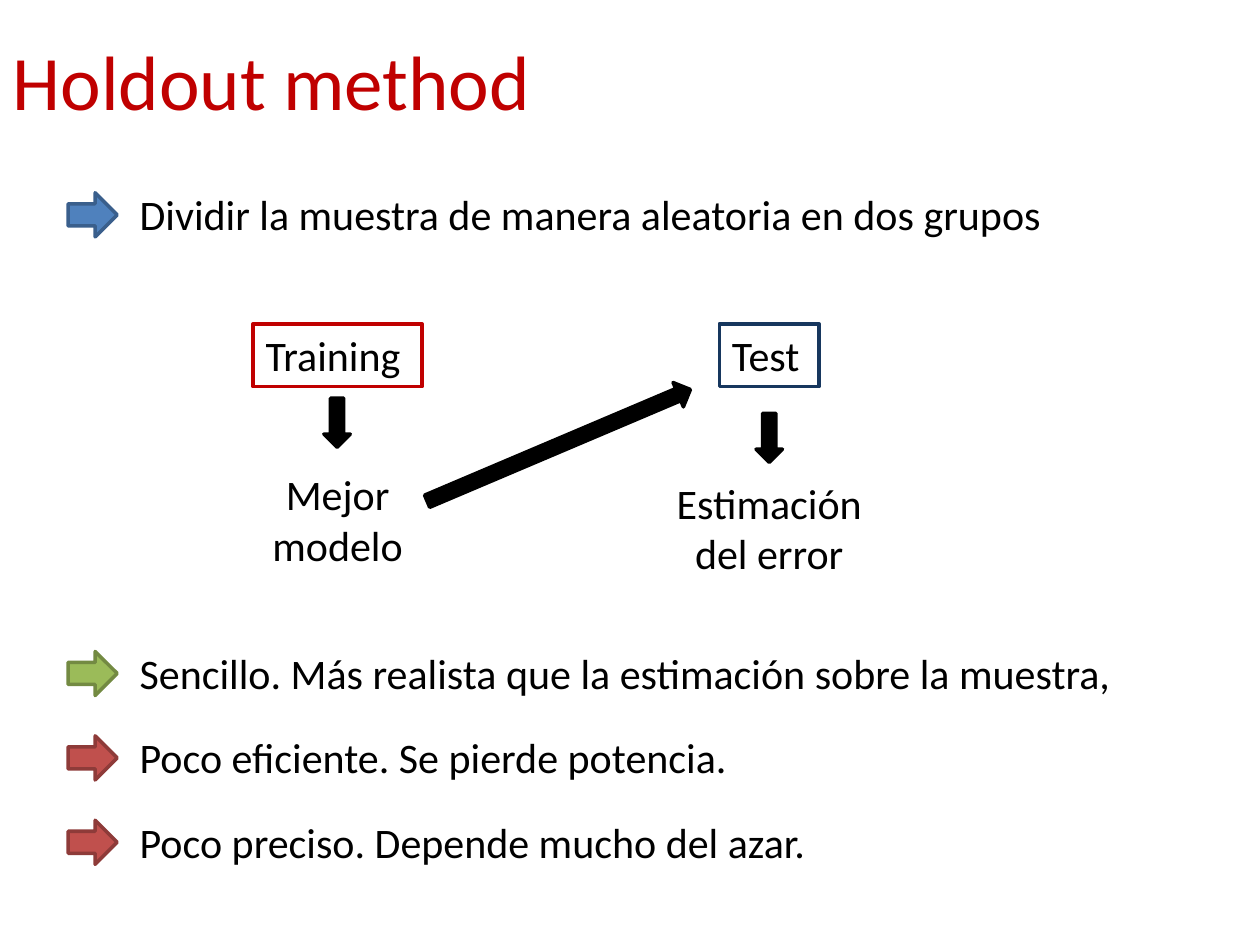
"""Build the slide that explains the holdout method."""
from pptx import Presentation
from pptx.dml.color import RGBColor
from pptx.enum import shapes, text
from pptx.util import Inches, Pt

FONT = "Calibri"
BLACK = RGBColor(0x00, 0x00, 0x00)
RED = RGBColor(0xC0, 0x00, 0x00)
NAVY = RGBColor(0x17, 0x37, 0x5E)
BLUE = (RGBColor(0x4F, 0x81, 0xBD), RGBColor(0x3A, 0x5F, 0x8C))
GREEN = (RGBColor(0x9B, 0xBB, 0x59), RGBColor(0x73, 0x8A, 0x42))
BRICK = (RGBColor(0xC0, 0x50, 0x4D), RGBColor(0x8E, 0x3B, 0x39))
SOLID_BLACK = (BLACK, BLACK)


def write(shape, words, size=24, color=BLACK, align=text.PP_ALIGN.LEFT, anchor=text.MSO_ANCHOR.TOP):
    """Write one paragraph into a shape."""
    frame = shape.text_frame
    frame.word_wrap = True
    frame.vertical_anchor = anchor
    para = frame.paragraphs[0]
    para.alignment = align
    span = para.add_run()
    span.text = words
    span.font.name = FONT
    span.font.size = Pt(size)
    span.font.color.rgb = color


def add_title(page, words):
    """Fill the title placeholder across the top of the page."""
    title = page.shapes.title
    title.left, title.top = Inches(0), Inches(0.21)
    title.width, title.height = Inches(10), Inches(0.84)
    write(title, words, 44, RED, anchor=text.MSO_ANCHOR.MIDDLE)


def add_text(page, words, left, top, width, height=0.5, align=text.PP_ALIGN.LEFT):
    """Add a text box and return it."""
    box = page.shapes.add_textbox(Inches(left), Inches(top), Inches(width), Inches(height))
    write(box, words, align=align)
    return box


def add_framed_text(page, words, left, width, color):
    """Add a text box with a coloured outline."""
    box = add_text(page, words, left, 2.57, width)
    box.line.color.rgb = color
    box.line.width = Pt(2)


def add_arrow(page, left, top, width, height, colors, rotation=0):
    """Add a block arrow with a fill and a line colour."""
    arrow = page.shapes.add_shape(
        shapes.MSO_SHAPE.RIGHT_ARROW, Inches(left), Inches(top), Inches(width), Inches(height))
    arrow.rotation = rotation
    arrow.shadow.inherit = False
    fill, line = colors
    arrow.fill.solid()
    arrow.fill.fore_color.rgb = fill
    arrow.line.color.rgb = line
    arrow.line.width = Pt(2)


def add_point(page, words, top, colors, width=7.92):
    """Add a statement with its arrow marker."""
    add_text(page, words, 1.01, top, width)
    add_arrow(page, 0.54, top + 0.08, 0.39, 0.35, colors)


def add_diagram(page):
    """Add the two groups, their results and the arrows between them."""
    add_framed_text(page, "Training", 2.01, 1.34, RED)
    add_framed_text(page, "Test", 5.71, 0.79, NAVY)
    add_text(page, "Mejor modelo", 2.01, 3.67, 1.34, 0.91, text.PP_ALIGN.CENTER)
    add_text(page, "Estimación del error", 5.18, 3.74, 1.85, 0.91, text.PP_ALIGN.CENTER)
    for left, top, width, rotation in (
            (2.48, 3.25, 0.39, 90), (3.3, 3.43, 2.27, 337), (5.91, 3.37, 0.39, 90)):
        add_arrow(page, left, top, width, 0.21, SOLID_BLACK, rotation)


def main():
    """Create the deck and save it."""
    deck = Presentation()
    deck.slide_width, deck.slide_height = Inches(10), Inches(7.5)
    page = deck.slides.add_slide(deck.slide_layouts.get_by_name("Title Only"))
    add_title(page, "Holdout method")
    add_point(page, "Dividir la muestra de manera aleatoria en dos grupos", 1.45, BLUE, 8.19)
    add_diagram(page)
    conclusions = (
        ("Sencillo. Más realista que la estimación sobre la muestra,", GREEN),
        ("Poco eficiente. Se pierde potencia.", BRICK),
        ("Poco preciso. Depende mucho del azar.", BRICK),
    )
    for row, (words, colors) in enumerate(conclusions):
        add_point(page, words, 5.09 + 0.67 * row, colors)
    deck.save("out.pptx")


if __name__ == "__main__":
    main()
